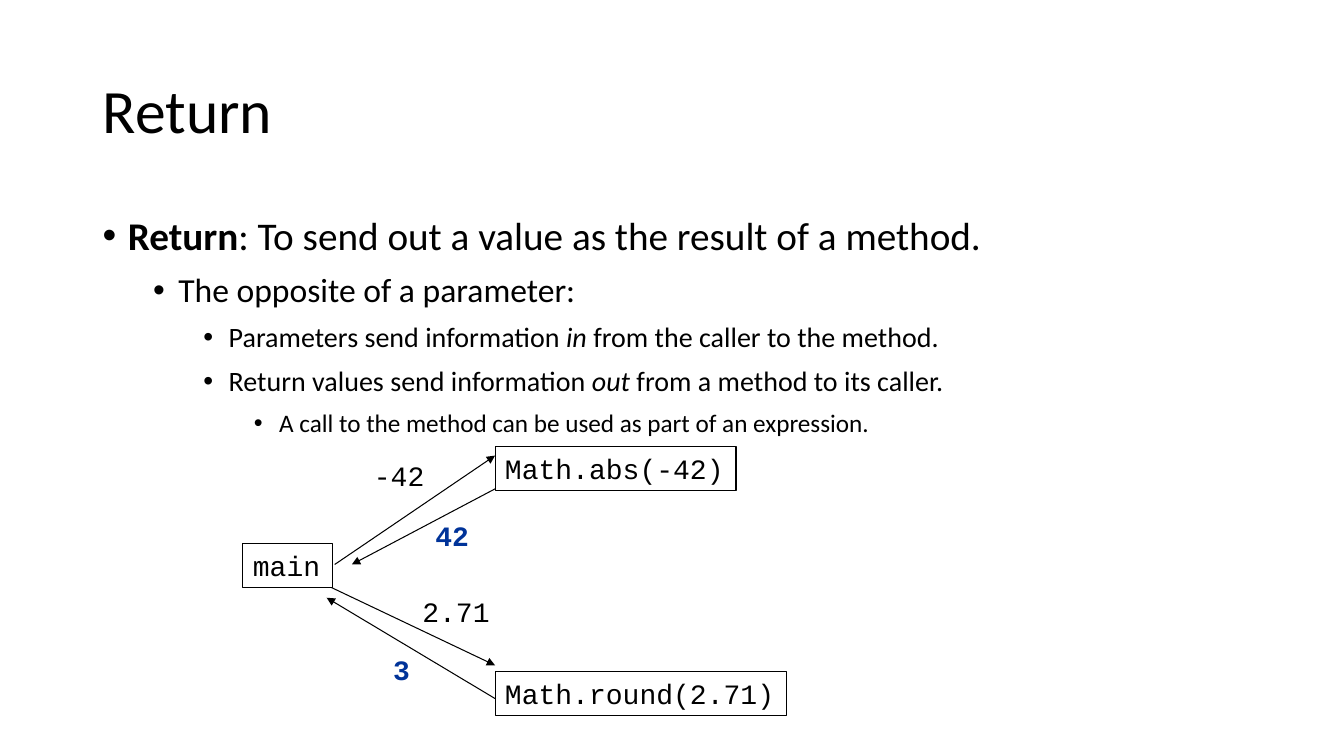
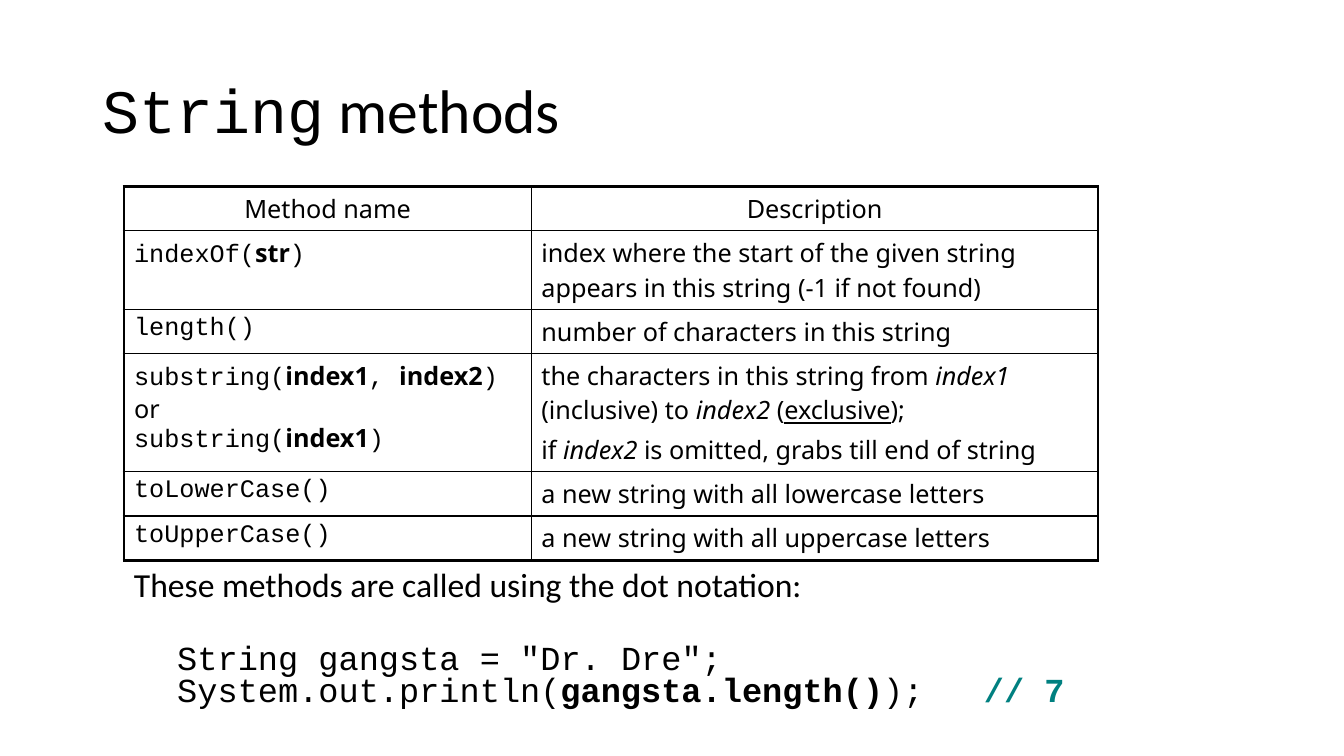
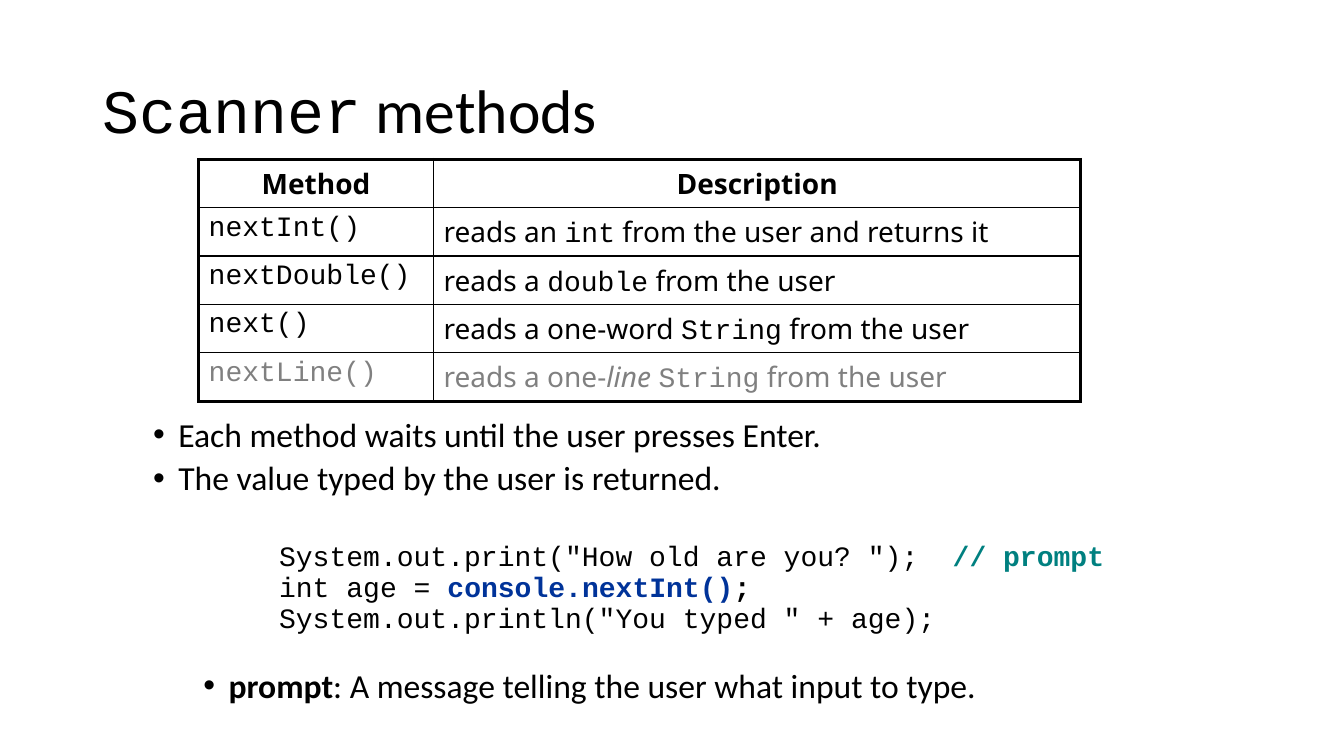
"""Builds three slides on Java return values, String methods and Scanner methods."""
from lxml import etree
from pptx import Presentation
from pptx.dml.color import RGBColor
from pptx.enum.shapes import MSO_CONNECTOR, MSO_SHAPE
from pptx.enum.text import MSO_ANCHOR, PP_ALIGN
from pptx.oxml.ns import qn
from pptx.util import Inches, Pt

LEFT, CENTER = PP_ALIGN.LEFT, PP_ALIGN.CENTER
MIDDLE, TOP = MSO_ANCHOR.MIDDLE, MSO_ANCHOR.TOP
RECT, STRAIGHT = MSO_SHAPE.RECTANGLE, MSO_CONNECTOR.STRAIGHT
BODY, MONO, TABLE = "Calibri", "Courier New", "Noto Sans"
BLACK = "000000"
COLORS = {"t": "008080", "n": "003399", "g": "808080"}
rgb = RGBColor.from_string


def write(tf, paras, size, font=BODY):
    """Fill a frame; run flags: m mono, b bold, i italic, u underline, t/n/g colour."""
    for i, (runs, fmt) in enumerate(paras):
        p = tf.add_paragraph() if i else tf.paragraphs[0]
        p.line_spacing = fmt.get("spacing", 1.0)
        p.space_before = Pt(fmt.get("before", 0))
        if "align" in fmt:
            p.alignment = fmt["align"]
        left, bullet = fmt.get("left", 0), fmt.get("bullet")
        pPr = p._p.get_or_add_pPr()
        pPr.set("marL", str(Inches(left)))
        pPr.set("indent", str(Inches(-0.25 if bullet else 0)))
        if bullet:
            p.level = int(left / 0.5)
            etree.SubElement(pPr, qn("a:buFont"), typeface="Arial")
            etree.SubElement(pPr, qn("a:buChar"), char="•")
        for text, flags in runs:
            r = p.add_run()
            r.text = text
            r.font.size = Pt(fmt.get("size", size))
            r.font.name = MONO if "m" in flags else font
            r.font.bold, r.font.italic = "b" in flags, "i" in flags
            if "u" in flags:
                r.font.underline = True
            color = [COLORS[f] for f in flags if f in COLORS] or [BLACK]
            r.font.color.rgb = rgb(color[0])


def text_box(s, at, paras, size, anchor=TOP, wrap=True):
    """Add a text box and fill it."""
    tf = s.shapes.add_textbox(*map(Inches, at)).text_frame
    tf.word_wrap = wrap
    tf.vertical_anchor = anchor
    write(tf, paras, size)


prs = Presentation()
prs.slide_width, prs.slide_height = Inches(13.33), Inches(7.5)

titles = [
    [("Return", "")],
    [("String", "m"), (" methods", "")],
    [("Scanner", "m"), (" methods", "")],
]
slides = []
for title in titles:
    s = prs.slides.add_slide(prs.slide_layouts[6])
    text_box(s, (0.92, 0.4, 11.5, 1.45), [(title, {"spacing": 0.9})], 44, MIDDLE)
    slides.append(s)
return_slide, string_slide, scanner_slide = slides

outline = [
    (0.25, 28, 10, [("Return", "b"), (": To send out a value as the result of a method.", "")]),
    (0.75, 24, 5, [("The opposite of a parameter:", "")]),
    (1.25, 20, 5, [("Parameters send information ", ""), ("in ", "i"),
                   ("from the caller to the method.", "")]),
    (1.25, 20, 5, [("Return values send information ", ""), ("out ", "i"),
                   ("from a method to its caller.", "")]),
    (1.75, 18, 5, [("A call to the method can be used as part of an expression.", "")]),
]
text_box(return_slide, (0.92, 2, 11.5, 4.76), [
    (runs, {"left": left, "size": size, "before": before, "spacing": 1.1, "bullet": True})
    for left, size, before, runs in outline], 28)

methods = [
    ("main", 2.41, 5.39, 0.89),
    ("Math.abs(-42)", 4.91, 4.43, 2.39),
    ("Math.round(2.71)", 4.91, 6.66, 2.89),
]
for name, x, y, width in methods:
    box = return_slide.shapes.add_shape(RECT, *map(Inches, (x, y, width, 0.44)))
    box.shadow.inherit = False
    box.fill.background()
    box.line.color.rgb = rgb(BLACK)
    box.line.width = Pt(0.75)
    box.text_frame.word_wrap = False
    write(box.text_frame, [([(name, "m")], {"align": LEFT})], 20)

arrows = [
    (3.32, 5.6, 4.91, 4.52),
    (4.91, 4.85, 3.49, 5.6),
    (3.29, 5.83, 4.91, 6.6),
    (4.91, 6.93, 3.24, 5.93),
]
for ends in arrows:
    arrow = return_slide.shapes.add_connector(STRAIGHT, *map(Inches, ends))
    arrow.line.color.rgb = rgb(BLACK)
    arrow.line.width = Pt(0.75)
    etree.SubElement(arrow.line._get_or_add_ln(), qn("a:tailEnd"), type="triangle")
    etree.SubElement(arrow._element.spPr, qn("a:effectLst"))

values = [
    ("-42", "m", 3.61, 4.5, 0.71),
    ("42", "mbn", 4.22, 5.09, 0.55),
    ("2.71", "m", 4.09, 5.85, 0.88),
    ("3", "mbn", 3.8, 6.42, 0.38),
]
for value, flags, x, y, width in values:
    text_box(return_slide, (x, y, width, 0.43), [([(value, flags)], {})], 20, wrap=False)

text_box(string_slide, (1.23, 5.54, 9.67, 1.58), [
    ([("These methods are called using the dot notation:", "")], {}),
    ([('String gangsta = "Dr. Dre";', "m")], {"left": 0.43, "before": 29, "spacing": 0.8}),
    ([("System.out.println(", "m"), ("gangsta.length()", "mb"), (");   ", "m"),
      ("// 7", "mbt")], {"left": 0.43, "spacing": 0.8}),
], 24)

bullet = {"left": 0.75, "before": 5, "spacing": 0.9, "bullet": True}
code = {"left": 1.75, "before": 5, "spacing": 0.7, "size": 20}
text_box(scanner_slide, (0.92, 4.1, 11.5, 3.01), [
    ([("Each method waits until the user presses Enter.", "")], bullet),
    ([("The value typed by the user is returned.", "")], bullet),
    ([('System.out.print("How old are you? ");  ', "m"), ("// prompt", "mbt")],
     {**code, "before": 36}),
    ([("int age = ", "m"), ("console.nextInt()", "mbn"), (";", "mb")], code),
    ([('System.out.println("You typed " + age);', "m")], code),
    ([("prompt", "b"), (": A message telling the user what input to type.", "")],
     {**bullet, "left": 1.25, "before": 26}),
], 24)

head, cell_text, tight = {"align": CENTER}, {"before": 4}, {"before": 4, "spacing": 0.7}
string_rows = [
    ([([("Method name", "")], head)], [([("Description", "")], head)]),
    ([([("indexOf(", "m"), ("str", "b"), (")", "m")], cell_text)],
     [([("index where the start of the given string appears in this string "
         "(-1 if not found)", "")], cell_text)]),
    ([([("length()", "m")], cell_text)],
     [([("number of characters in this string", "")], cell_text)]),
    ([([("substring(", "m"), ("index1", "b"), (", ", "m"), ("index2", "b"), (")", "m")],
       cell_text),
      ([("or", "")], tight),
      ([("substring(", "m"), ("index1", "b"), (")", "m")], tight)],
     [([("the characters in this string from ", ""), ("index1", "i"),
        (" (inclusive) to ", ""), ("index2", "i"), (" (", ""), ("exclusive", "u"),
        (");", "")], cell_text),
      ([("if ", ""), ("index2", "i"), (" is omitted, grabs till end of string", "")],
       cell_text)]),
    ([([("toLowerCase()", "m")], cell_text)],
     [([("a new string with all lowercase letters", "")], cell_text)]),
    ([([("toUpperCase()", "m")], cell_text)],
     [([("a new string with all uppercase letters", "")], cell_text)]),
]
scanner_rows = [([([("Method", "b")], head)], [([("Description", "b")], head)])]
scanner_methods = [
    ("nextInt()", "", [("reads an ", ""), ("int", "m"),
                       (" from the user and returns it", "")]),
    ("nextDouble()", "", [("reads a ", ""), ("double", "m"), (" from the user", "")]),
    ("next()", "", [("reads a one-word ", ""), ("String", "m"), (" from the user", "")]),
    ("nextLine()", "g", [("reads a one-", "g"), ("line ", "gi"), ("String", "gm"),
                         (" from the user", "g")]),
]
for name, tone, description in scanner_methods:
    scanner_rows.append(([([(name, "m" + tone)], cell_text)], [(description, cell_text)]))

tables = [
    (string_slide, 1.23, 1.85, (4.04, 5.62), (0.44, 0.78, 0.44, 1.17, 0.44, 0.44), 18,
     string_rows),
    (scanner_slide, 1.97, 1.58, (2.33, 6.42), [0.48] * len(scanner_rows), 20, scanner_rows),
]
for s, x, y, widths, heights, size, rows in tables:
    last_row, last_col = len(heights) - 1, len(widths) - 1
    area = map(Inches, (x, y, sum(widths), sum(heights)))
    table = s.shapes.add_table(len(heights), len(widths), *area).table
    table.first_row = table.horz_banding = False
    for column, width in zip(table.columns, widths):
        column.width = Inches(width)
    for i, height in enumerate(heights):
        table.rows[i].height = Inches(height)
        for j, paras in enumerate(rows[i]):
            cell = table.cell(i, j)
            write(cell.text_frame, paras, size, TABLE)
            outer = {"L": j == 0, "R": j == last_col, "T": i == 0, "B": i == last_row}
            tcPr = cell._tc.get_or_add_tcPr()
            for side, is_outer in outer.items():
                ln = etree.SubElement(tcPr, qn("a:ln" + side), w=str(Pt(2.25 if is_outer else 1)))
                fill = etree.SubElement(ln, qn("a:solidFill"))
                etree.SubElement(fill, qn("a:srgbClr"), val=BLACK)
            cell.fill.background()

prs.save("out.pptx")
